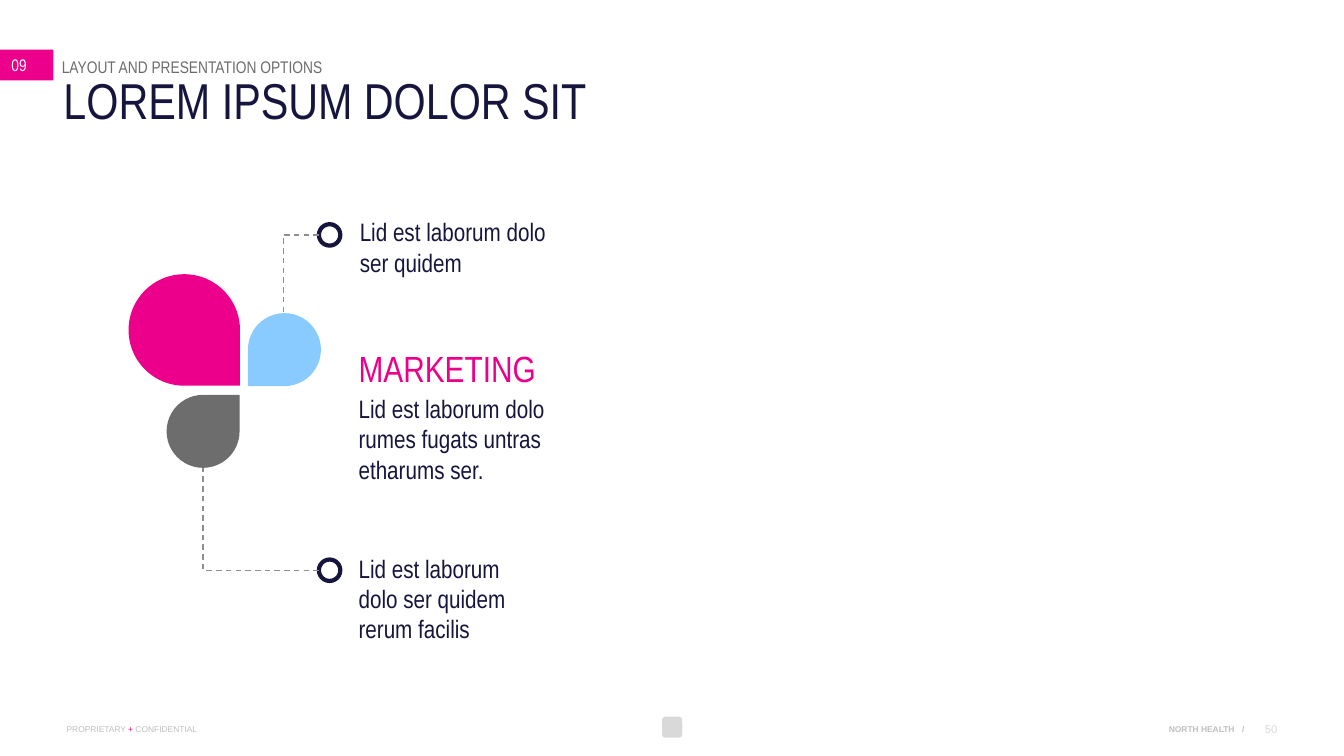
"""Build the marketing slide with three petals, dashed callouts and a footer."""
from dataclasses import dataclass

from lxml import etree
from pptx import Presentation
from pptx.dml.color import RGBColor
from pptx.enum.dml import MSO_LINE
from pptx.enum.shapes import MSO_CONNECTOR, MSO_SHAPE
from pptx.enum.text import MSO_ANCHOR, MSO_AUTO_SIZE, PP_ALIGN
from pptx.oxml.ns import qn
from pptx.util import Cm, Pt

TEARDROP, ELLIPSE = MSO_SHAPE.TEAR, MSO_SHAPE.OVAL
RECTANGLE, ROUNDED = MSO_SHAPE.RECTANGLE, MSO_SHAPE.ROUNDED_RECTANGLE
ELBOW, DASH = MSO_CONNECTOR.ELBOW, MSO_LINE.DASH
LEFT, RIGHT = PP_ALIGN.LEFT, PP_ALIGN.RIGHT
TOP, MIDDLE = MSO_ANCHOR.TOP, MSO_ANCHOR.MIDDLE
NO_AUTOFIT = MSO_AUTO_SIZE.NONE


@dataclass(frozen=True)
class Theme:
    pink: str = "EC008B"
    navy: str = "16153E"
    blue: str = "89CBFF"
    grey: str = "6D6D6D"
    dash: str = "8E8E8E"
    footer: str = "BFBFBF"
    mark: str = "D9D9D9"
    white: str = "FFFFFF"
    narrow: str = "Arial Narrow"
    wide: str = "Arial"
    title_size: int = 36
    heading_size: int = 26
    body_size: int = 18
    label_size: int = 12
    page_size: int = 8
    footer_size: int = 6


theme = Theme()


def write_text(shape, paragraphs, size, font=theme.narrow, alignment=LEFT, anchor=TOP, bold=False):
    """Fill a shape with paragraphs, each a list of (text, colour) runs and an optional size."""
    frame = shape.text_frame
    frame.word_wrap = True
    frame.auto_size = NO_AUTOFIT
    frame.vertical_anchor = anchor
    frame.margin_left = frame.margin_right = frame.margin_top = frame.margin_bottom = 0
    for index, runs in enumerate(paragraphs):
        paragraph = frame.add_paragraph() if index else frame.paragraphs[0]
        paragraph.alignment = alignment
        paragraph.space_before = Pt(0)
        paragraph.space_after = Pt(3)
        for text, color, *run_size in runs:
            run = paragraph.add_run()
            run.text = text
            run.font.name = font
            run.font.size = Pt(run_size[0] if run_size else size)
            run.font.bold = bold
            run.font.color.rgb = RGBColor.from_string(color)


def add_filled(kind, left, top, width, height, color):
    """Add a plain filled shape without outline or shadow."""
    shape = slide.shapes.add_shape(kind, Cm(left), Cm(top), Cm(width), Cm(height))
    shape.shadow.inherit = False
    shape.fill.solid()
    shape.fill.fore_color.rgb = RGBColor.from_string(color)
    shape.line.fill.background()
    return shape


presentation = Presentation()
presentation.slide_width, presentation.slide_height = Cm(33.88), Cm(19.05)
slide = presentation.slides.add_slide(presentation.slide_layouts[5])

title = slide.shapes.title
title.left, title.top, title.width, title.height = Cm(1.6), Cm(2.03), Cm(13.72), Cm(2.57)
write_text(title, [[("LOREM IPSUM DOLOR SIT", theme.navy)]], theme.title_size)
title.text_frame.paragraphs[0].line_spacing = 0.8

section_tag = add_filled(RECTANGLE, 0, 1.25, 1.35, 0.78, theme.pink)
write_text(section_tag, [[("09", theme.white)]], theme.label_size, anchor=MIDDLE)
section_tag.text_frame.margin_left = Cm(0.29)

for left, top, size, rotation, color in (
    (3.24, 6.91, 2.81, 90, theme.pink),
    (6.25, 7.89, 1.84, 180, theme.blue),
    (4.2, 9.95, 1.84, 0, theme.grey),
):
    petal = add_filled(TEARDROP, left, top, size, size, color)
    petal.rotation = rotation

ring_left, ring_size = 8.04, 0.54
for ring_top, petal_x, petal_y in ((5.65, 7.15, 7.89), (14.1, 5.12, 11.79)):
    ring = slide.shapes.add_shape(ELLIPSE, Cm(ring_left), Cm(ring_top), Cm(ring_size), Cm(ring_size))
    ring.shadow.inherit = False
    ring.fill.background()
    ring.line.color.rgb = RGBColor.from_string(theme.navy)
    ring.line.width = Pt(3)
    callout = slide.shapes.add_connector(
        ELBOW, Cm(ring_left), Cm(ring_top + ring_size / 2), Cm(petal_x), Cm(petal_y)
    )
    callout.line.color.rgb = RGBColor.from_string(theme.dash)
    callout.line.width = Pt(1)
    callout.line.dash_style = DASH
    properties = callout.element.spPr
    properties.find(qn("a:prstGeom")).set("prst", "bentConnector2")
    etree.SubElement(properties, qn("a:effectLst"))

section = [[("LAYOUT AND PRESENTATION OPTIONS", theme.grey)]]
upper = [[("Lid est laborum dolo ser quidem", theme.navy)]]
marketing = [
    [("MARKETING", theme.pink, theme.heading_size)],
    [("Lid est laborum dolo rumes fugats untras etharums ser.", theme.navy)],
]
lower = [[("Lid est laborum dolo ser quidem rerum facilis", theme.navy)]]
for left, top, width, height, paragraphs, size in (
    (1.56, 1.42, 22.07, 0.51, section, theme.label_size),
    (9.07, 5.46, 4.72, 2.44, upper, theme.body_size),
    (9.04, 8.71, 5.69, 3.66, marketing, theme.body_size),
    (9.04, 13.94, 4.67, 2.67, lower, theme.body_size),
):
    box = slide.shapes.add_textbox(Cm(left), Cm(top), Cm(width), Cm(height))
    write_text(box, paragraphs, size)

add_filled(ROUNDED, 16.69, 18.06, 0.51, 0.53, theme.mark)

confidential = [("PROPRIETARY ", theme.footer), ("+", theme.pink), (" CONFIDENTIAL", theme.footer)]
for left, width, runs, size, alignment, bold in (
    (1.68, 4, confidential, theme.footer_size, LEFT, False),
    (27.12, 4, [("NORTH HEALTH", theme.footer)], theme.footer_size, RIGHT, True),
    (31.17, 0.2, [("/", theme.footer)], theme.footer_size, RIGHT, True),
    (31.5, 0.7, [("50", theme.mark)], theme.page_size, RIGHT, False),
):
    box = slide.shapes.add_textbox(Cm(left), Cm(18.17), Cm(width), Cm(0.4))
    write_text(box, [runs], size, theme.wide, alignment, MIDDLE, bold)
    box.text_frame.paragraphs[0].space_after = Pt(0)

presentation.save("out.pptx")
